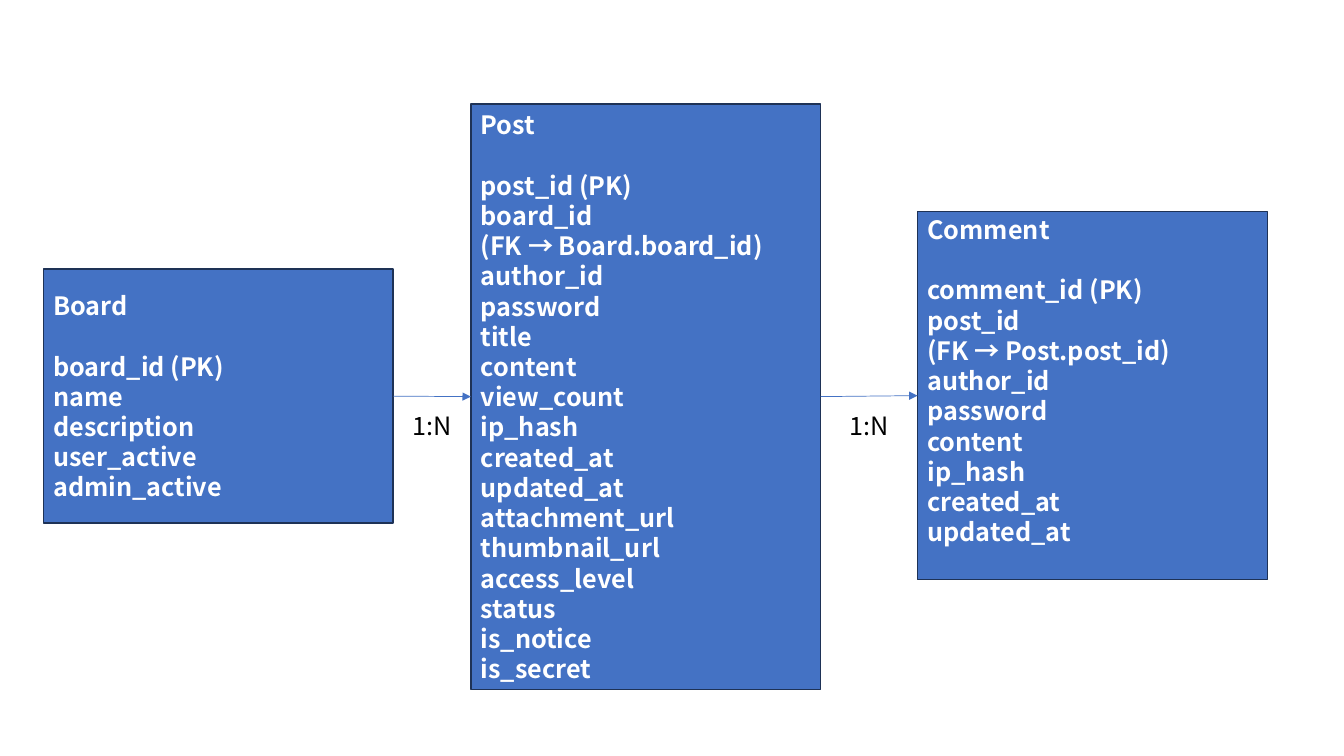
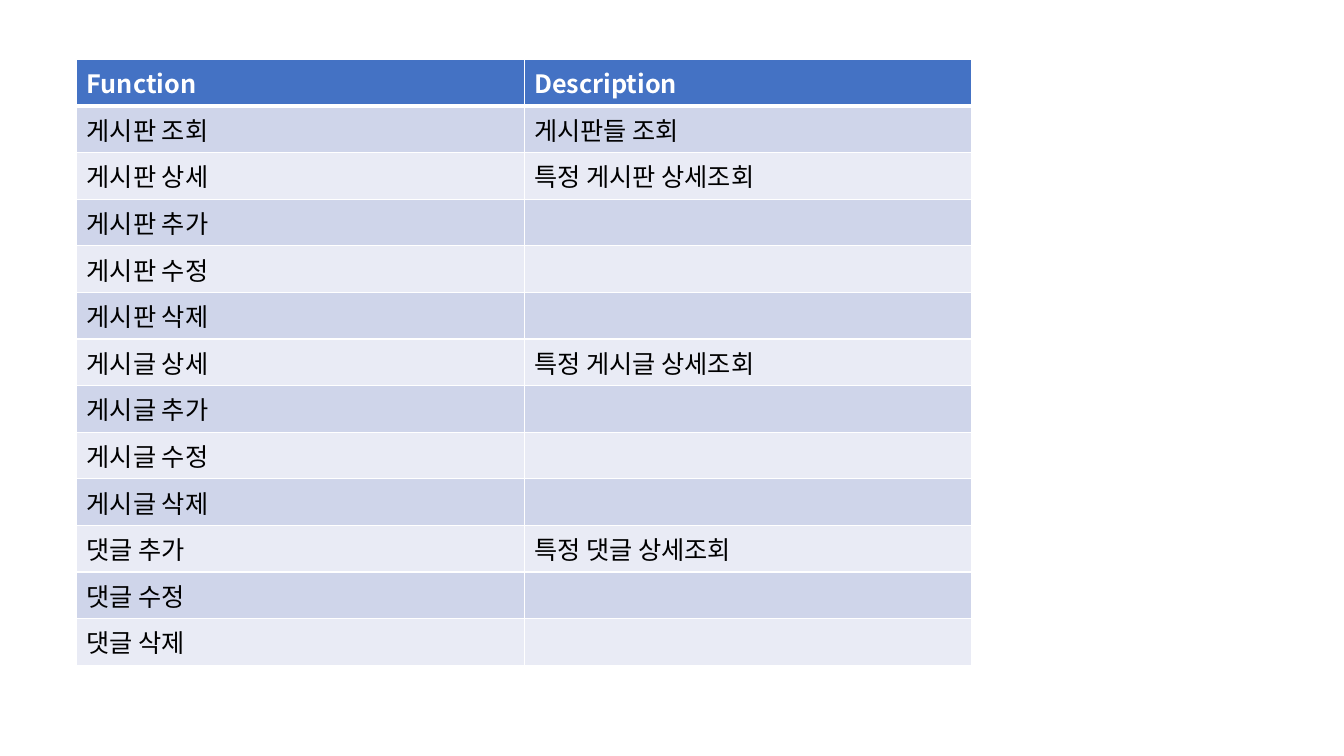
from itertools import pairwise

from lxml import etree
from pptx import Presentation
from pptx import util as u
from pptx.dml.color import RGBColor
from pptx.enum import shapes, text
from pptx.oxml.ns import qn

# Shared style
FONT, SIZE, LINE_HEIGHT = "Noto Sans CJK KR", 18, 21.6
BLUE, NAVY, WHITE, BLACK = "4472C4", "1E3256", "FFFFFF", "000000"
BANDS = ("CFD5EA", "E9EBF5")

# Entities: name, fields, left, top, height, bottom inset
BOX_WIDTH = 3.47
ENTITIES = [
    ("Board", ["board_id (PK)", "name", "description", "user_active",
               "admin_active"], 0.43, 2.67, 2.52, 0.05),
    ("Post", ["post_id (PK)", "board_id", "(FK → Board.board_id)", "author_id",
              "password", "title", "content", "view_count", "ip_hash",
              "created_at", "updated_at", "attachment_url", "thumbnail_url",
              "access_level", "status", "is_notice", "is_secret"],
     4.67, 1.03, 5.81, 0.05),
    ("Comment", ["comment_id (PK)", "post_id", "(FK → Post.post_id)",
                 "author_id", "password", "content", "ip_hash", "created_at",
                 "updated_at"], 9.1, 2.1, 3.65, 0.35),
]
RELATION = "1:N"
LABEL_TOP, LABEL_WIDTH, LABEL_HEIGHT = 4.02, 0.59, 0.4

# Function table
TABLE_LEFT, TABLE_TOP, COLUMN_WIDTH, ROW_HEIGHT = 0.76, 0.59, 4.44, 0.41
FUNCTIONS = [
    ("Function", "Description"),
    ("게시판 조회", "게시판들 조회"),
    ("게시판 상세", "특정 게시판 상세조회"),
    ("게시판 추가", ""),
    ("게시판 수정", ""),
    ("게시판 삭제", ""),
    ("게시글 상세", "특정 게시글 상세조회"),
    ("게시글 추가", ""),
    ("게시글 수정", ""),
    ("게시글 삭제", ""),
    ("댓글 추가", "특정 댓글 상세조회"),
    ("댓글 수정", ""),
    ("댓글 삭제", ""),
]


def color(value):
    return RGBColor.from_string(value)


def style(paragraph, font_color, bold=False):
    font = paragraph.font
    font.name, font.size, font.bold = FONT, u.Pt(SIZE), bold
    font.color.rgb = color(font_color)
    defaults = paragraph._p.pPr.find(qn("a:defRPr"))
    etree.SubElement(defaults, qn("a:ea"), typeface=FONT)
    paragraph.alignment = text.PP_ALIGN.LEFT


def add_entity(slide, name, fields, left, top, height, bottom_inset):
    box = slide.shapes.add_shape(
        shapes.MSO_SHAPE.RECTANGLE, u.Inches(left), u.Inches(top),
        u.Inches(BOX_WIDTH), u.Inches(height))
    box.shadow.inherit = False
    box.fill.solid()
    box.fill.fore_color.rgb = color(BLUE)
    box.line.color.rgb = color(NAVY)
    box.line.width = u.Pt(1)
    frame = box.text_frame
    frame.word_wrap = True
    frame.vertical_anchor = text.MSO_ANCHOR.MIDDLE
    frame.margin_bottom = u.Inches(bottom_inset)
    frame.text = "\n".join([name, *fields])
    for paragraph in frame.paragraphs:
        style(paragraph, WHITE, bold=True)
        paragraph.line_spacing = u.Pt(LINE_HEIGHT)
    frame.paragraphs[0].space_after = u.Pt(LINE_HEIGHT)
    return box


def add_relation(slide, source, target):
    arrow = slide.shapes.add_connector(shapes.MSO_CONNECTOR.STRAIGHT, 0, 0, 0, 0)
    arrow.begin_connect(source, 3)
    arrow.end_connect(target, 1)
    arrow.line.color.rgb = color(BLUE)
    arrow.line.width = u.Pt(0.5)
    etree.SubElement(arrow.line._get_or_add_ln(), qn("a:tailEnd"), type="triangle")
    etree.SubElement(arrow._element.spPr, qn("a:effectLst"))

    # Label centred in the gap between the two boxes
    middle = (source.left + source.width + target.left) // 2
    width = u.Inches(LABEL_WIDTH)
    label = slide.shapes.add_textbox(
        middle - width // 2, u.Inches(LABEL_TOP), width, u.Inches(LABEL_HEIGHT))
    label.text_frame.word_wrap = False
    label.text_frame.text = RELATION
    paragraph = label.text_frame.paragraphs[0]
    style(paragraph, BLACK)
    paragraph.line_spacing = u.Pt(LINE_HEIGHT)


def add_border(cell, side, points):
    line = etree.SubElement(cell._tc.get_or_add_tcPr(), qn(f"a:ln{side}"),
                            w=str(u.Pt(points)))
    fill = etree.SubElement(line, qn("a:solidFill"))
    etree.SubElement(fill, qn("a:srgbClr"), val=WHITE)


def add_function_table(slide):
    rows, columns = len(FUNCTIONS), len(FUNCTIONS[0])
    table = slide.shapes.add_table(
        rows, columns, u.Inches(TABLE_LEFT), u.Inches(TABLE_TOP),
        u.Inches(columns * COLUMN_WIDTH), u.Inches(rows * ROW_HEIGHT)).table
    for row, values in enumerate(FUNCTIONS):
        header = row == 0
        for column, value in enumerate(values):
            cell = table.cell(row, column)
            cell.text = value
            style(cell.text_frame.paragraphs[0], WHITE if header else BLACK, header)
            for side in "LRTB":
                thick = (row, side) in ((0, "B"), (1, "T"))
                add_border(cell, side, 3 if thick else 1)
            cell.fill.solid()
            cell.fill.fore_color.rgb = color(BLUE if header else BANDS[(row - 1) % 2])


def main():
    presentation = Presentation()
    presentation.slide_width = u.Inches(13.33)
    presentation.slide_height = u.Inches(7.5)
    blank = presentation.slide_layouts[6]

    # Entity diagram
    slide = presentation.slides.add_slide(blank)
    boxes = [add_entity(slide, *entity) for entity in ENTITIES]
    for source, target in pairwise(boxes):
        add_relation(slide, source, target)

    # Function list
    add_function_table(presentation.slides.add_slide(blank))
    presentation.save("out.pptx")


if __name__ == "__main__":
    main()
